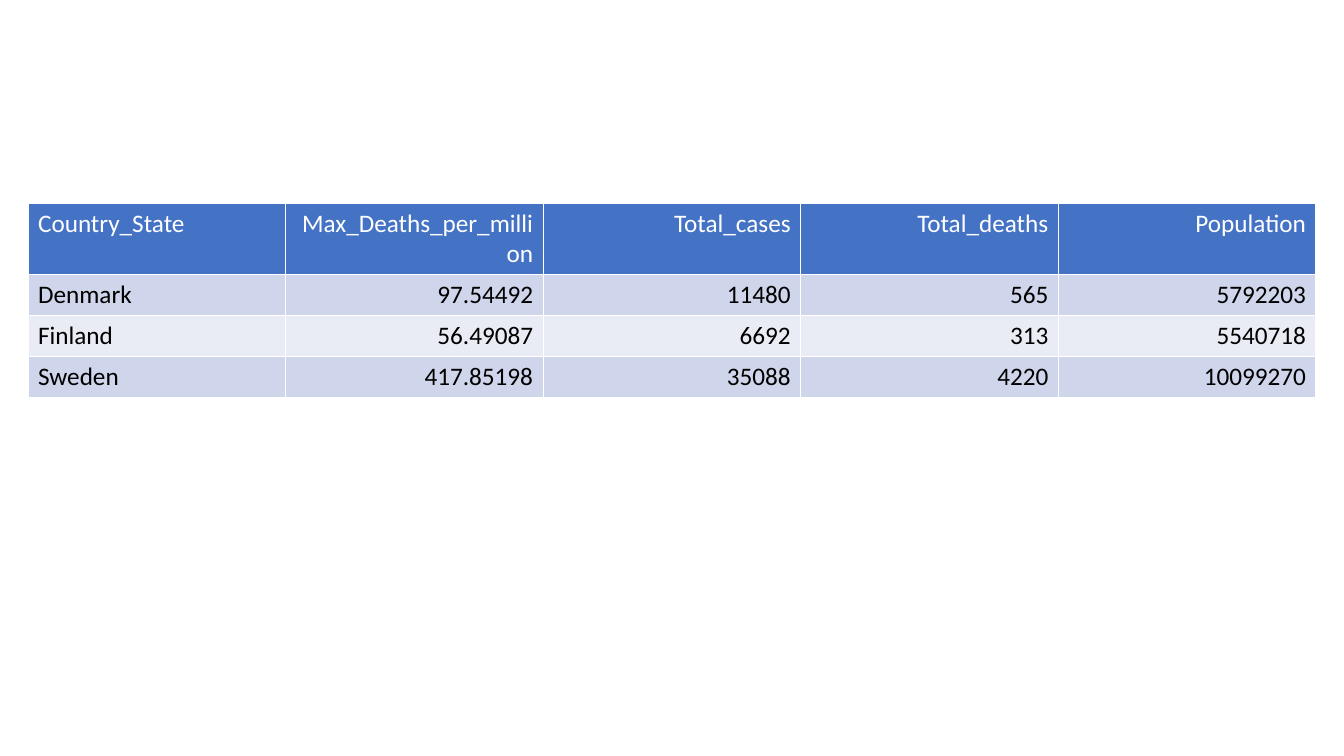
from pptx import Presentation, util as u
from pptx.dml.color import RGBColor
from pptx.enum import text
from pptx.oxml import parse_xml
from pptx.oxml.ns import nsdecls

HEADINGS = ("Country_State", "Max_Deaths_per_million", "Total_cases", "Total_deaths", "Population")
COUNTRIES = [
    ("Denmark", "97.54492", "11480", "565", "5792203"),
    ("Finland", "56.49087", "6692", "313", "5540718"),
    ("Sweden", "417.85198", "35088", "4220", "10099270"),
]
COLORS = {
    "header": "4472C4",
    "odd_row": "CFD5EA",
    "even_row": "E9EBF5",
    "border": "FFFFFF",
    "header_text": "FFFFFF",
    "body_text": "000000",
}
FONT, FONT_SIZE, BORDER_WIDTH = "Calibri", 18, 1
SLIDE_WIDTH, SLIDE_HEIGHT = 1344, 756
TABLE_LEFT, TABLE_TOP, TABLE_WIDTH = 28, 203, 1288
HEADER_HEIGHT, ROW_HEIGHT = 71, 41


def px(length):
    return u.Emu(round(length * 914400 / 100.8))


def add_borders(cell):
    properties = cell._tc.get_or_add_tcPr()
    for side in ("lnL", "lnR", "lnT", "lnB"):
        properties.append(parse_xml(
            f'<a:{side} {nsdecls("a")} w="{u.Pt(BORDER_WIDTH)}"><a:solidFill>'
            f'<a:srgbClr val="{COLORS["border"]}"/></a:solidFill></a:{side}>'))


def format_cell(cell, value, fill, color, align):
    add_borders(cell)
    cell.fill.solid()
    cell.fill.fore_color.rgb = RGBColor.from_string(COLORS[fill])
    cell.text_frame.text = value
    para = cell.text_frame.paragraphs[0]
    para.alignment = align
    font = para.runs[0].font
    font.name, font.size, font.bold = FONT, u.Pt(FONT_SIZE), False
    font.color.rgb = RGBColor.from_string(COLORS[color])


deck = Presentation()
deck.slide_width, deck.slide_height = px(SLIDE_WIDTH), px(SLIDE_HEIGHT)
page = deck.slides.add_slide(deck.slide_layouts[6])

rows = [HEADINGS, *COUNTRIES]
table_height = HEADER_HEIGHT + ROW_HEIGHT * len(COUNTRIES)
table = page.shapes.add_table(
    len(rows), len(HEADINGS),
    px(TABLE_LEFT), px(TABLE_TOP), px(TABLE_WIDTH), px(table_height)).table

for column in table.columns:
    column.width = px(TABLE_WIDTH / len(HEADINGS))

for r, values in enumerate(rows):
    is_header = r == 0
    table.rows[r].height = px(HEADER_HEIGHT if is_header else ROW_HEIGHT)
    fill = "header" if is_header else "odd_row" if r % 2 else "even_row"
    color = "header_text" if is_header else "body_text"
    for c, value in enumerate(values):
        align = text.PP_ALIGN.RIGHT if c else text.PP_ALIGN.LEFT
        format_cell(table.cell(r, c), value, fill, color, align)

deck.save("out.pptx")
